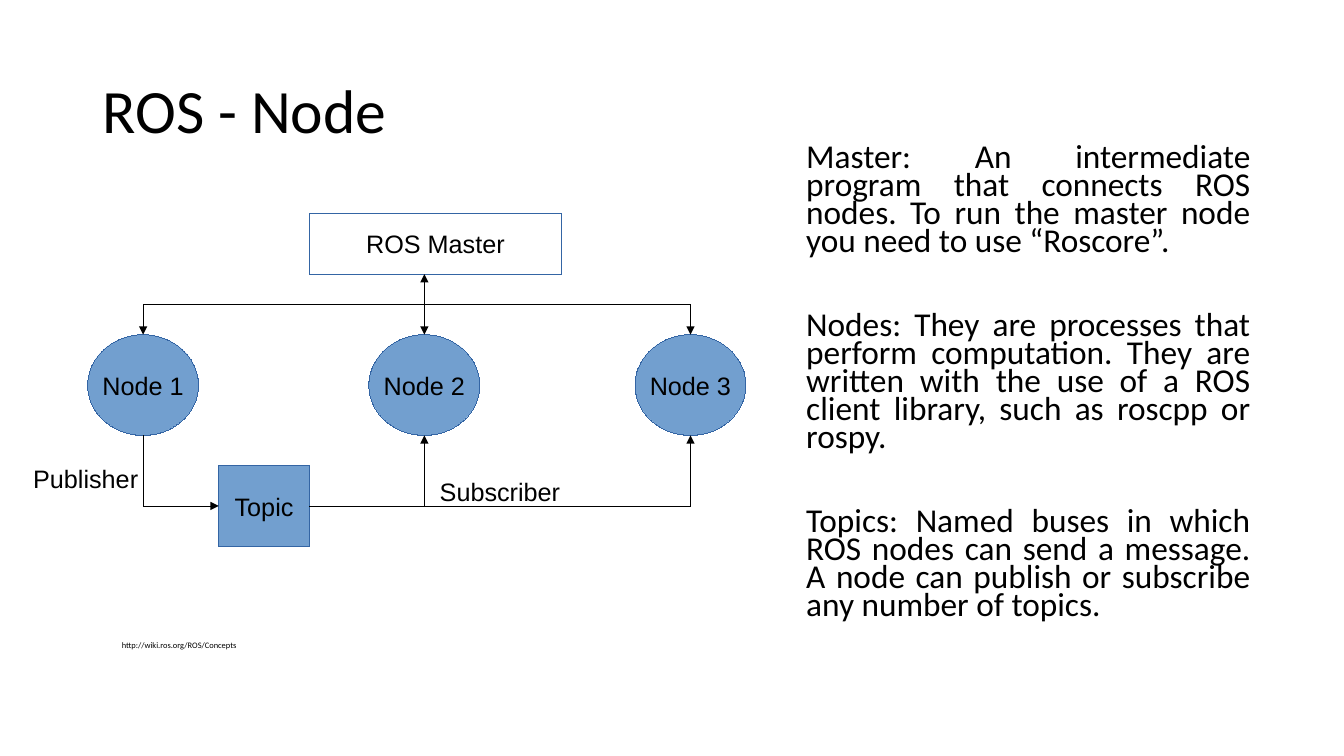
from lxml.etree import SubElement
from pptx import Presentation
from pptx.dml.color import RGBColor
from pptx.enum.shapes import MSO_CONNECTOR, MSO_SHAPE
from pptx.enum.text import MSO_ANCHOR, PP_ALIGN
from pptx.oxml.ns import qn
from pptx.util import Inches, Pt

COLUMNS, ROWS = 133.33, 75
CELL = Inches(0.1)
BLACK, BLUE, EDGE = "000000", "729FCF", "3465A4"
LABEL = {"name": "Arial", "size": Pt(18)}
CENTRED = {"alignment": PP_ALIGN.CENTER}
DEFINITIONS = [
    "Master: An intermediate program that connects ROS nodes. "
    "To run the master node you need to use “Roscore”.",
    "Nodes: They are processes that perform computation. They are written "
    "with the use of a ROS client library, such as roscpp or rospy.",
    "Topics: Named buses in which ROS nodes can send a message. "
    "A node can publish or subscribe any number of topics.",
]


def color(value):
    """Turn a hex string into a colour."""
    return RGBColor.from_string(value)


def cells(*lengths):
    """Turn grid cells into slide lengths."""
    return [round(length * CELL) for length in lengths]


def apply(target, values):
    """Set each attribute of a dict of format values."""
    for name, value in values.items():
        setattr(target, name, value)


def draw_hairline(line, value):
    """Give a line a colour and the thinnest width, and return its element."""
    line.color.rgb = color(value)
    element = line._get_or_add_ln()
    element.set("w", "0")
    return element


def write(shape, texts, font, layout, anchor=MSO_ANCHOR.MIDDLE, wrap=False, gap=0):
    """Fill a shape with formatted paragraphs."""
    frame = shape.text_frame
    apply(frame, {"word_wrap": wrap, "vertical_anchor": anchor})
    for index, text in enumerate(texts):
        paragraph = frame.add_paragraph() if index else frame.paragraphs[0]
        paragraph.text = text
        apply(paragraph, layout)
        apply(paragraph.font, font)
        paragraph.font.color.rgb = color(BLACK)
        if index:
            paragraph.space_before = Pt(gap)


def add_text(slide, box, texts, font, layout, **options):
    """Add a text box on the grid."""
    write(slide.shapes.add_textbox(*cells(*box)), texts, font, layout, **options)


def add_block(slide, kind, box, text, fill=None):
    """Add an outlined, centred diagram block."""
    shape = slide.shapes.add_shape(kind, *cells(*box))
    shape.shadow.inherit = False
    if fill:
        shape.fill.solid()
        shape.fill.fore_color.rgb = color(fill)
    else:
        shape.fill.background()
    draw_hairline(shape.line, EDGE)
    write(shape, [text], LABEL, CENTRED)
    return shape


def add_arrow(slide, start, end, heads=("tailEnd",), bent=True):
    """Add an arrow; a bent one runs across first, then up or down."""
    kind = MSO_CONNECTOR.ELBOW if bent else MSO_CONNECTOR.STRAIGHT
    arrow = slide.shapes.add_connector(kind, *cells(*start, *end))
    line = draw_hairline(arrow.line, BLACK)
    properties = arrow._element.spPr
    if bent:
        properties.find(qn("a:prstGeom")).set("prst", "bentConnector2")
    for head in heads:
        SubElement(line, qn(f"a:{head}"), type="triangle")
    SubElement(properties, qn("a:effectLst"))
    return arrow


def add_diagram(slide, left, top, width, height):
    """Draw the master, its nodes and the topic in a box."""
    node_width, node_height = 11, 10
    topic_width, topic_height = 9, 8
    master_height = 6
    node_top = top + 2 * master_height
    node_bottom = node_top + node_height
    bus = node_top - master_height / 2
    topic_left = left + 19.7
    topic_top = top + height - topic_height
    topic_middle = topic_top + topic_height / 2
    centers = [left + 12.2, left + 40.1, left + width - node_width / 2]
    first, second, third = centers

    add_block(slide, MSO_SHAPE.RECTANGLE, (left + 28.7, top, 25, master_height), "ROS Master")
    nodes = [
        add_block(slide, MSO_SHAPE.OVAL,
                  (center - node_width / 2, node_top, node_width, node_height),
                  f"Node {number}", BLUE)
        for number, center in enumerate(centers, 1)
    ]
    master_link = add_arrow(slide, (second, top + master_height), (second, node_top),
                            ("headEnd", "tailEnd"), bent=False)
    master_link.end_connect(nodes[1], 0)
    for center in (first, third):
        add_arrow(slide, (second, bus), (center, node_top))

    add_block(slide, MSO_SHAPE.RECTANGLE,
              (topic_left, topic_top, topic_width, topic_height), "Topic", BLUE)
    add_arrow(slide, (topic_left, topic_middle), (first, node_bottom), ("headEnd",))
    for start, end in ((topic_left + topic_width, second), (second, third)):
        add_arrow(slide, (start, topic_middle), (end, node_bottom))

    for text, center, label_top in (("Subscriber", second + 7.5, topic_top + 0.1),
                                    ("Publisher", left + 6.5, topic_top - 1.2)):
        add_text(slide, (center - 7.5, label_top, 15, 5), [text], LABEL, CENTRED)


def add_heading(slide, *box):
    """Add the slide title."""
    add_text(slide, box, ["ROS - Node"], {"name": "Calibri", "size": Pt(44)},
             {"line_spacing": 0.9}, wrap=True)


def add_definitions(slide, *box):
    """Add the justified definitions."""
    add_text(slide, box, DEFINITIONS, {"name": "Calibri", "size": Pt(23.8)},
             {"alignment": PP_ALIGN.JUSTIFY, "line_spacing": 0.7},
             anchor=MSO_ANCHOR.TOP, wrap=True, gap=40)


def add_source(slide, *box):
    """Add the web address of the source."""
    add_text(slide, box, ["http://wiki.ros.org/ROS/Concepts"],
             {"name": "Calibri", "size": Pt(6)}, {"alignment": PP_ALIGN.LEFT},
             anchor=MSO_ANCHOR.TOP)


def main():
    """Build and save the slide."""
    presentation = Presentation()
    presentation.slide_width, presentation.slide_height = cells(COLUMNS, ROWS)
    slide = presentation.slides.add_slide(presentation.slide_layouts[6])
    add_heading(slide, 9.2, 4, 115, 14.5)
    add_source(slide, 11.1, 63, 13.4, 2)
    add_diagram(slide, 2, 21.2, 72, 33)
    add_definitions(slide, 79, 14, 46, 52)
    presentation.save("out.pptx")


if __name__ == "__main__":
    main()
